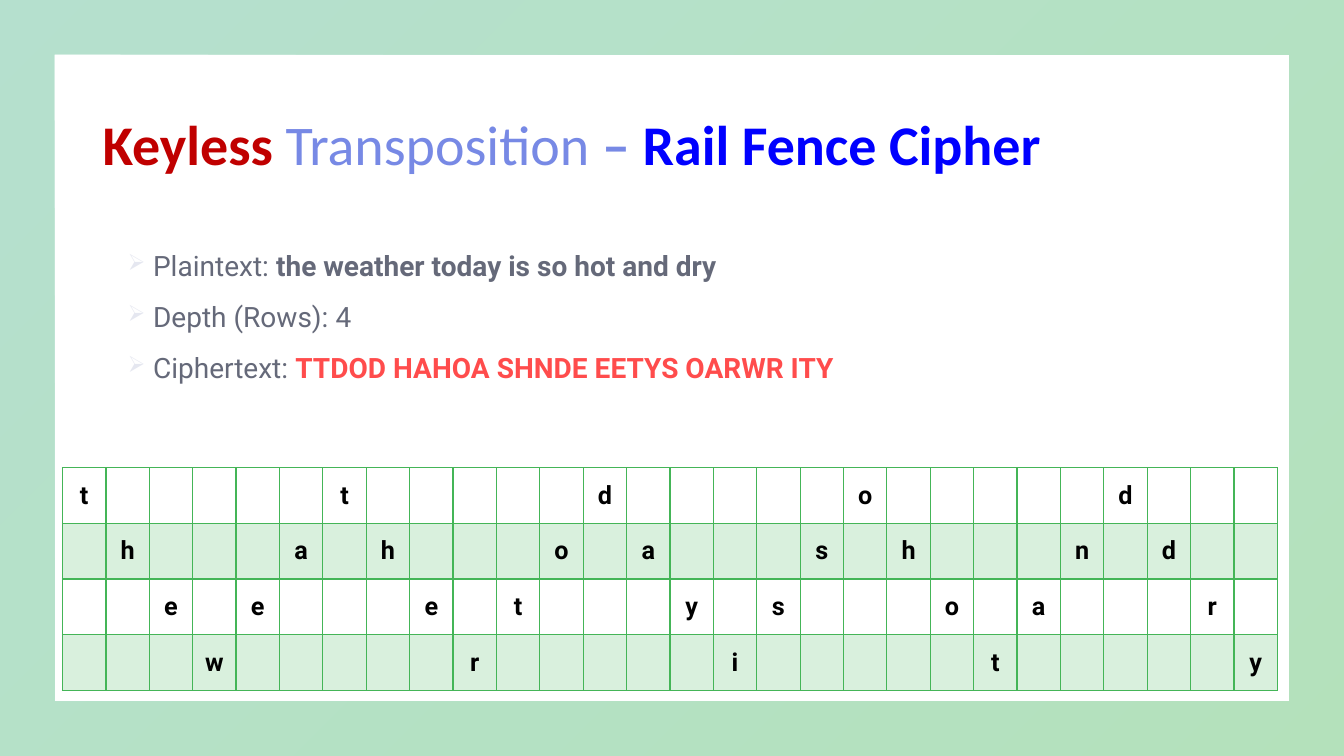
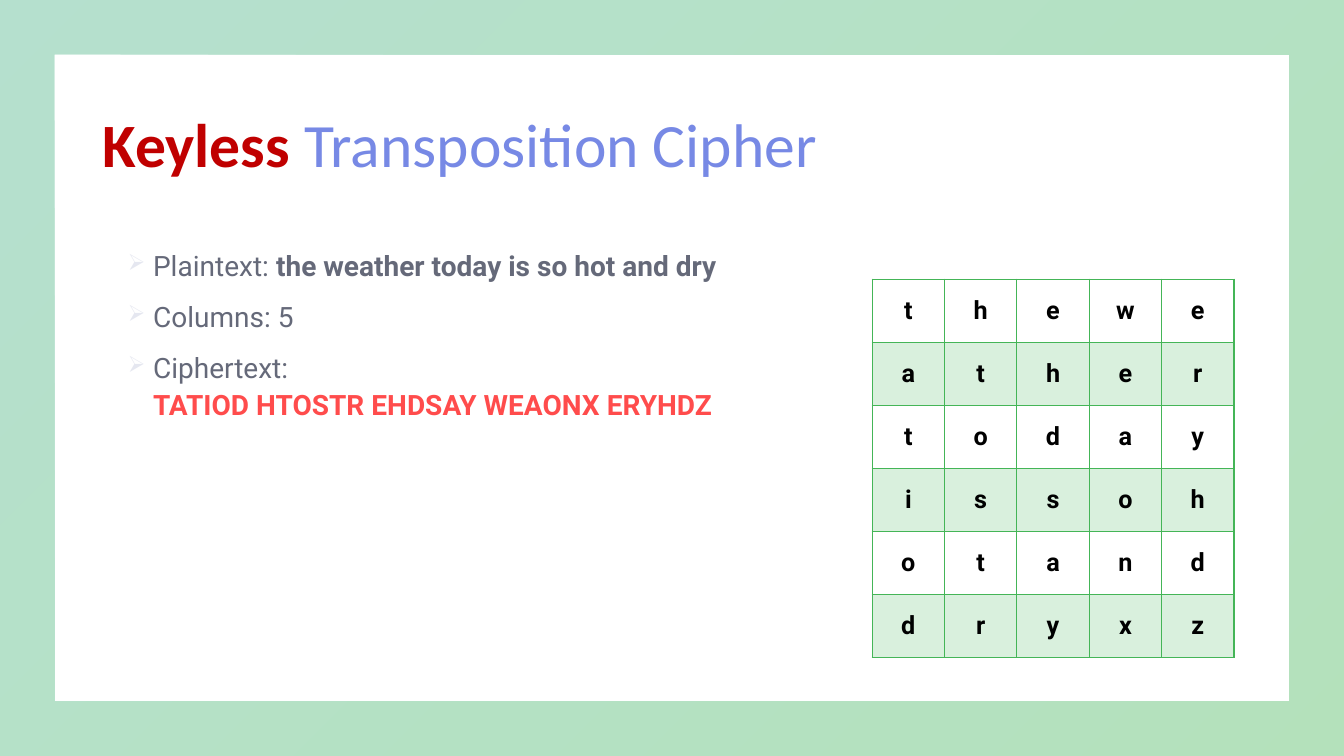
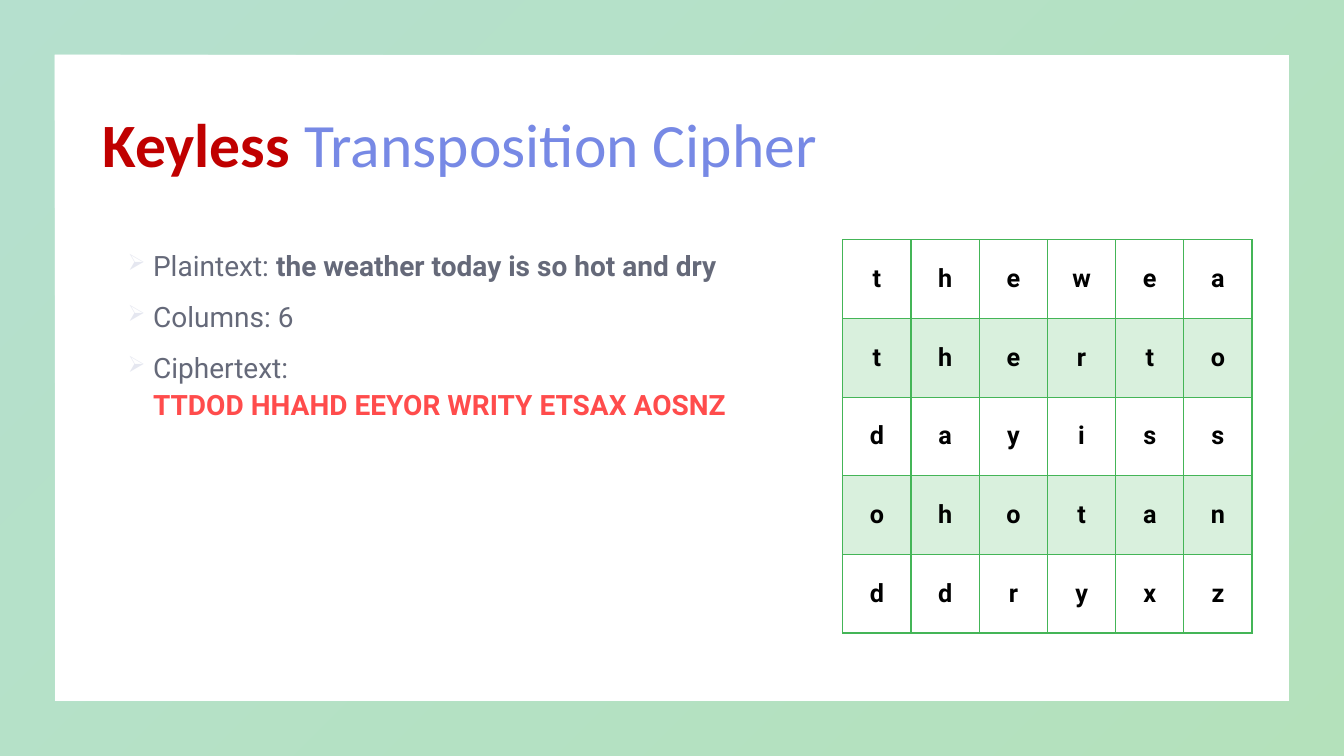
import pptx
import pptx.dml.color
import pptx.enum.shapes
import pptx.enum.text
import pptx.oxml
import pptx.oxml.ns
import pptx.util
from lxml import etree

Inches = pptx.util.Inches
Pt = pptx.util.Pt
qn = pptx.oxml.ns.qn
ALIGN = pptx.enum.text.PP_ALIGN
MIDDLE = pptx.enum.text.MSO_ANCHOR.MIDDLE

GREEN, TEAL = "44B557", "47B386"
DARK_RED, PERIWINKLE, BLUE = "C00000", "7789E5", "0000FF"
INK, RED, BLACK, BULLET = "242A41", "FF0000", "000000", "E5E7F0"
TITLE_FONT, BODY_FONT = "Calibri", "Roboto"


def paint(color, value, owner=None, opacity=None):
    """Set a colour; opacity (percent) applies to the owner's plain colours."""
    color.rgb = pptx.dml.color.RGBColor.from_string(value)
    if opacity is not None:
        for element in owner.iter(qn("a:srgbClr")):
            if len(element) == 0:
                etree.SubElement(element, qn("a:alpha"), val=str(opacity * 1000))


def add_span(para, text, font, size, value, bold=False, opacity=None):
    span = para.add_run()
    span.text = text
    span.font.name = font
    span.font.size = Pt(size)
    span.font.bold = bold
    paint(span.font.color, value, span._r, opacity)


# Content: the letter grids follow from the plaintext
plaintext = "the weather today is so hot and dry"
letters = plaintext.replace(" ", "")
padded = letters + "xz"
depth = 4
period = 2 * (depth - 1)
rail_fence = [[letter if min(i % period, period - i % period) == rail else ""
               for i, letter in enumerate(letters)] for rail in range(depth)]
five_columns, six_columns = [
    [padded[i:i + count] for i in range(0, len(padded), count)] for count in (5, 6)]

keyless = ("Keyless ", DARK_RED, True)
plain_title = [keyless, ("Transposition Cipher", PERIWINKLE, False)]
rail_title = [keyless, ("Transposition", PERIWINKLE, False),
              (" – ", PERIWINKLE, True), ("Rail Fence Cipher", BLUE, True)]

# Title size, title, setting, ciphertext, break before it, grid, table place
pages = [
    (40, rail_title, "Depth (Rows): 4", "TTDOD HAHOA SHNDE EETYS OARWR ITY",
     False, rail_fence, (0.62, 4.64, 12.05, 2.21)),
    (44, plain_title, "Columns: 5", "TATIOD HTOSTR EHDSAY WEAONX ERYHDZ",
     True, five_columns, (8.65, 2.77, 3.59, 3.75)),
    (44, plain_title, "Columns: 6", "TTDOD HHAHD EEYOR WRITY ETSAX AOSNZ",
     True, six_columns, (8.36, 2.38, 4.06, 3.9)),
]

deck = pptx.Presentation()
deck.slide_width = Inches(13.33)
deck.slide_height = Inches(7.5)

for title_size, title, setting, ciphertext, broken, grid, place in pages:
    page = deck.slides.add_slide(deck.slide_layouts[6])

    # Frame
    frame = page.shapes.add_shape(pptx.enum.shapes.MSO_SHAPE.FRAME, 0, 0,
                                  deck.slide_width, deck.slide_height)
    frame.adjustments[0] = 0.072
    frame.shadow.inherit = False
    frame.line.fill.background()
    frame.fill.gradient()
    frame.fill.gradient_angle = 315
    for stop, value in zip(frame.fill.gradient_stops, (TEAL, GREEN)):
        paint(stop.color, value, frame._element.spPr, 40)

    # Title
    box = page.shapes.add_textbox(Inches(0.92), Inches(0.74), Inches(11.5), Inches(1.45))
    box.text_frame.word_wrap = True
    box.text_frame.vertical_anchor = MIDDLE
    para = box.text_frame.paragraphs[0]
    para.line_spacing = 0.9
    for text, value, bold in title:
        add_span(para, text, TITLE_FONT, title_size, value, bold)

    # Bulleted list
    box = page.shapes.add_textbox(Inches(0.92), Inches(2.38), Inches(11.5), Inches(4.37))
    box.text_frame.word_wrap = True
    items = [("Plaintext: ", plaintext, INK, False),
             (setting, "", INK, False),
             ("Ciphertext:" if broken else "Ciphertext: ", ciphertext, RED, broken)]
    for i, (label, strong, value, new_line) in enumerate(items):
        para = box.text_frame.add_paragraph() if i else box.text_frame.paragraphs[0]
        properties = para._p.get_or_add_pPr()
        properties.set("marL", str(Inches(0.5)))
        properties.set("indent", str(Inches(-0.25)))
        bullet_color = etree.SubElement(properties, qn("a:buClr"))
        etree.SubElement(bullet_color, qn("a:srgbClr"), val=BULLET)
        etree.SubElement(properties, qn("a:buSzPct"), val="80000")
        etree.SubElement(properties, qn("a:buChar"), char="➢")
        para.alignment = ALIGN.LEFT if new_line else ALIGN.JUSTIFY
        para.line_spacing = 1.1
        if i:
            para.space_before = Pt(10)
        add_span(para, label, BODY_FONT, 20, INK, opacity=70)
        if new_line:
            para.add_line_break()
        if strong:
            add_span(para, strong, BODY_FONT, 20, value, True, 70)

    # Letter grid
    left, top, width, height = place
    table = page.shapes.add_table(len(grid), len(grid[0]), Inches(left), Inches(top),
                                  Inches(width), Inches(height)).table
    table.first_row = False
    table.horz_banding = False
    for column in table.columns:
        column.width = Inches(width / len(grid[0]))
    for row_number, row in enumerate(grid):
        table.rows[row_number].height = Inches(height / len(grid))
        for column_number, letter in enumerate(row):
            cell = table.cell(row_number, column_number)
            cell.vertical_anchor = MIDDLE
            if row_number % 2:
                cell.fill.solid()
                paint(cell.fill.fore_color, GREEN, cell._tc, 20)
            else:
                cell.fill.background()
            for position, side in enumerate(("lnL", "lnR", "lnT", "lnB")):
                border = etree.Element(qn("a:" + side), w=str(Pt(1)))
                solid = etree.SubElement(border, qn("a:solidFill"))
                etree.SubElement(solid, qn("a:srgbClr"), val=GREEN)
                cell._tc.tcPr.insert(position, border)
            if letter:
                para = cell.text_frame.paragraphs[0]
                para.alignment = ALIGN.CENTER
                add_span(para, letter, BODY_FONT, 18, BLACK, True)

deck.save("out.pptx")
